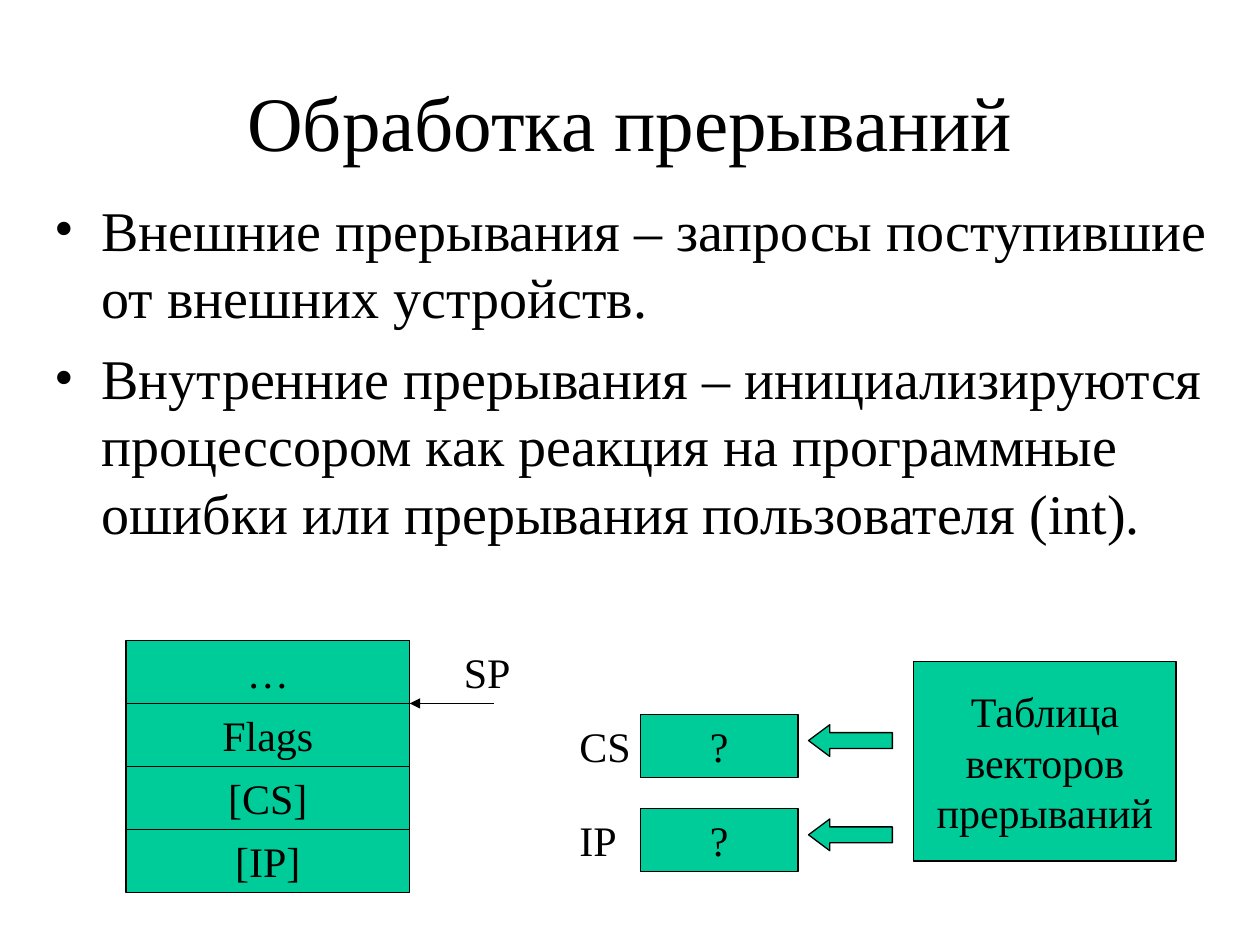
from dataclasses import dataclass

from lxml.etree import SubElement
from pptx import Presentation
from pptx.dml.color import RGBColor
from pptx.enum.shapes import MSO_CONNECTOR, MSO_SHAPE
from pptx.enum.text import MSO_ANCHOR, MSO_AUTO_SIZE, PP_ALIGN
from pptx.oxml.ns import qn
from pptx.slide import Slide
from pptx.text.text import TextFrame
from pptx.util import Cm, Pt

HUES = {"ink": "000000", "fill": "00CC99"}
FACE = "Times New Roman"
ROW = 1.27
STACK = ("…", "Flags", "[CS]", "[IP]")
REGS = {"CS": 14.4, "IP": 16.3}


@dataclass
class Area:
    left: float
    top: float
    wide: float
    high: float

    def spans(self) -> tuple:
        return Cm(self.left), Cm(self.top), Cm(self.wide), Cm(self.high)


@dataclass
class Label:
    area: Area
    text: str
    size: int = 24
    align: PP_ALIGN = PP_ALIGN.LEFT
    anchor: MSO_ANCHOR = MSO_ANCHOR.TOP
    fit: MSO_AUTO_SIZE = MSO_AUTO_SIZE.NONE
    before: float = 0
    dots: bool = False


def tint(name: str) -> RGBColor:
    return RGBColor.from_string(HUES[name])


def apply(item: object, form: dict) -> None:
    for key, value in form.items():
        setattr(item, key, value)


def write(frame: TextFrame, lines: list[str], size: int, form: dict) -> None:
    for index, line in enumerate(lines):
        para = frame.add_paragraph() if index else frame.paragraphs[0]
        para.text = line
        apply(para, form)
        for run in para.runs:
            apply(run.font, {"name": FACE, "size": Pt(size)})
            run.font.color.rgb = tint("ink")


def add_label(slide: Slide, label: Label) -> None:
    frame = slide.shapes.add_textbox(*label.area.spans()).text_frame
    apply(frame, {"word_wrap": True, "auto_size": label.fit,
                  "vertical_anchor": label.anchor})
    lines = label.text.split("\n")
    write(frame, lines, label.size,
          {"alignment": label.align, "space_before": Pt(label.before)})
    if label.dots:
        for para in frame.paragraphs:
            props = para._p.get_or_add_pPr()
            props.set("marL", str(Cm(0.95)))
            props.set("indent", str(-Cm(0.95)))
            SubElement(props, qn("a:buFont"), typeface=FACE)
            SubElement(props, qn("a:buChar"), char="•")


def add_block(slide: Slide, area: Area, text: str = "",
              kind: MSO_SHAPE = MSO_SHAPE.RECTANGLE) -> None:
    block = slide.shapes.add_shape(kind, *area.spans())
    block.shadow.inherit = False
    block.fill.solid()
    block.fill.fore_color.rgb = tint("fill")
    block.line.color.rgb = tint("ink")
    block.line.width = Pt(0.75)
    if kind == MSO_SHAPE.LEFT_ARROW:
        block.adjustments[1] = 0.67
    if text:
        frame = block.text_frame
        apply(frame, {"word_wrap": False,
                      "vertical_anchor": MSO_ANCHOR.MIDDLE})
        write(frame, [text], 24, {"alignment": PP_ALIGN.CENTER})


def add_arrow(slide: Slide, start: float, end: float, top: float) -> None:
    arrow = slide.shapes.add_connector(
        MSO_CONNECTOR.STRAIGHT, Cm(start), Cm(top), Cm(end), Cm(top))
    arrow.line.color.rgb = tint("ink")
    arrow.line.width = Pt(0.75)
    SubElement(arrow.line._get_or_add_ln(), qn("a:tailEnd"), type="triangle")
    SubElement(arrow._element.spPr, qn("a:effectLst"))


def add_tag(slide: Slide, area: Area, text: str) -> None:
    add_label(slide, Label(area, text, before=15,
                           fit=MSO_AUTO_SIZE.SHAPE_TO_FIT_TEXT))


def main() -> None:
    deck = Presentation()
    apply(deck, {"slide_width": Cm(25.4), "slide_height": Cm(19.05)})
    slide = deck.slides.add_slide(deck.slide_layouts[6])

    add_label(slide, Label(
        Area(1.9, 0.85, 21.6, 3.18), "Обработка прерываний", 44,
        PP_ALIGN.CENTER, MSO_ANCHOR.MIDDLE))
    add_label(slide, Label(
        Area(0.85, 3.81, 24.13, 7.41),
        "Внешние прерывания – запросы поступившие от внешних устройств.\n"
        "Внутренние прерывания – инициализируются процессором как реакция "
        "на программные ошибки или прерывания пользователя (int).",
        32, before=8, dots=True))

    for index, text in enumerate(STACK):
        add_block(slide, Area(2.54, 12.91 + index * ROW, 5.72, ROW), text)
    add_tag(slide, Area(9.1, 12.91, 1.48, ROW), "SP")
    add_arrow(slide, 9.95, 8.26, 12.91 + ROW)

    for name, top in REGS.items():
        add_block(slide, Area(12.91, top, 3.18, ROW), "?")
        add_tag(slide, Area(11.43, top, 1.69, ROW), name)
        add_block(slide, Area(16.3, top + 0.21, 1.69, 0.64),
                  kind=MSO_SHAPE.LEFT_ARROW)
    add_block(slide, Area(18.42, 13.34, 5.29, 4.02),
              "Таблица\nвекторов\nпрерываний")

    deck.save("out.pptx")


if __name__ == "__main__":
    main()
